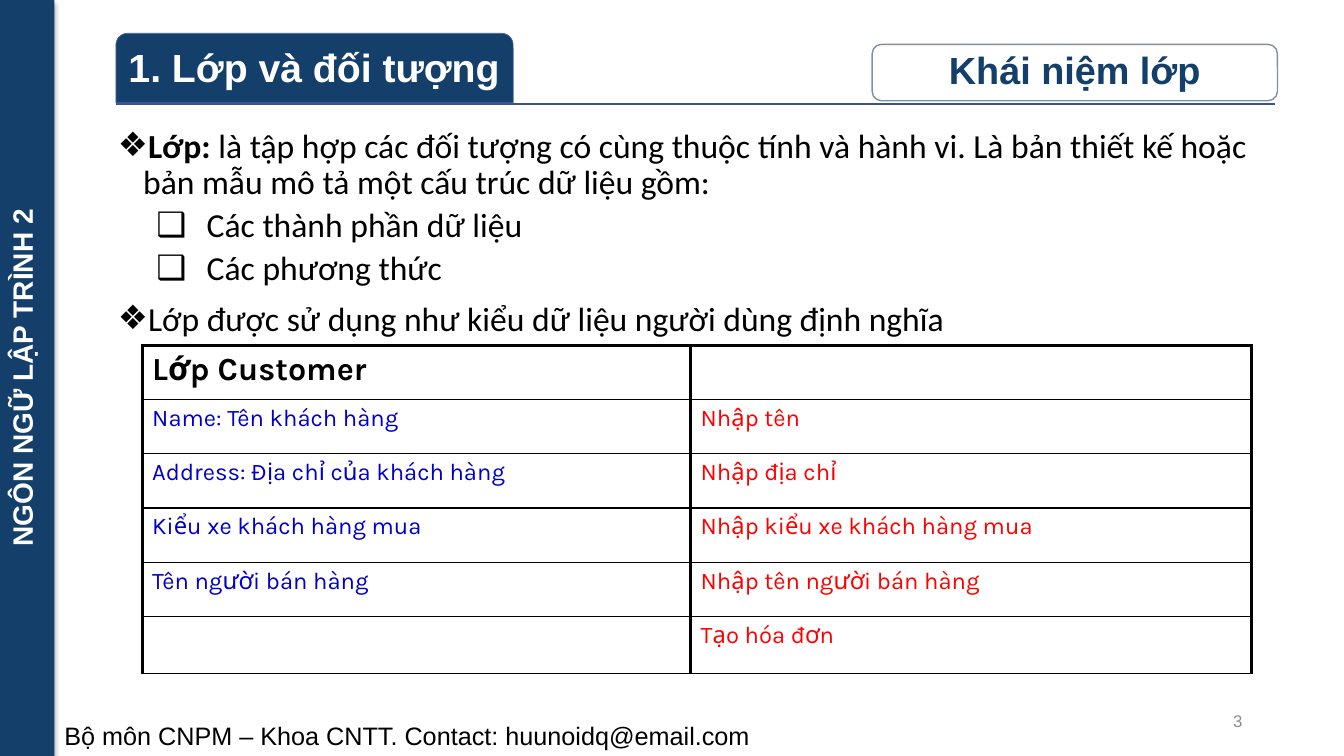
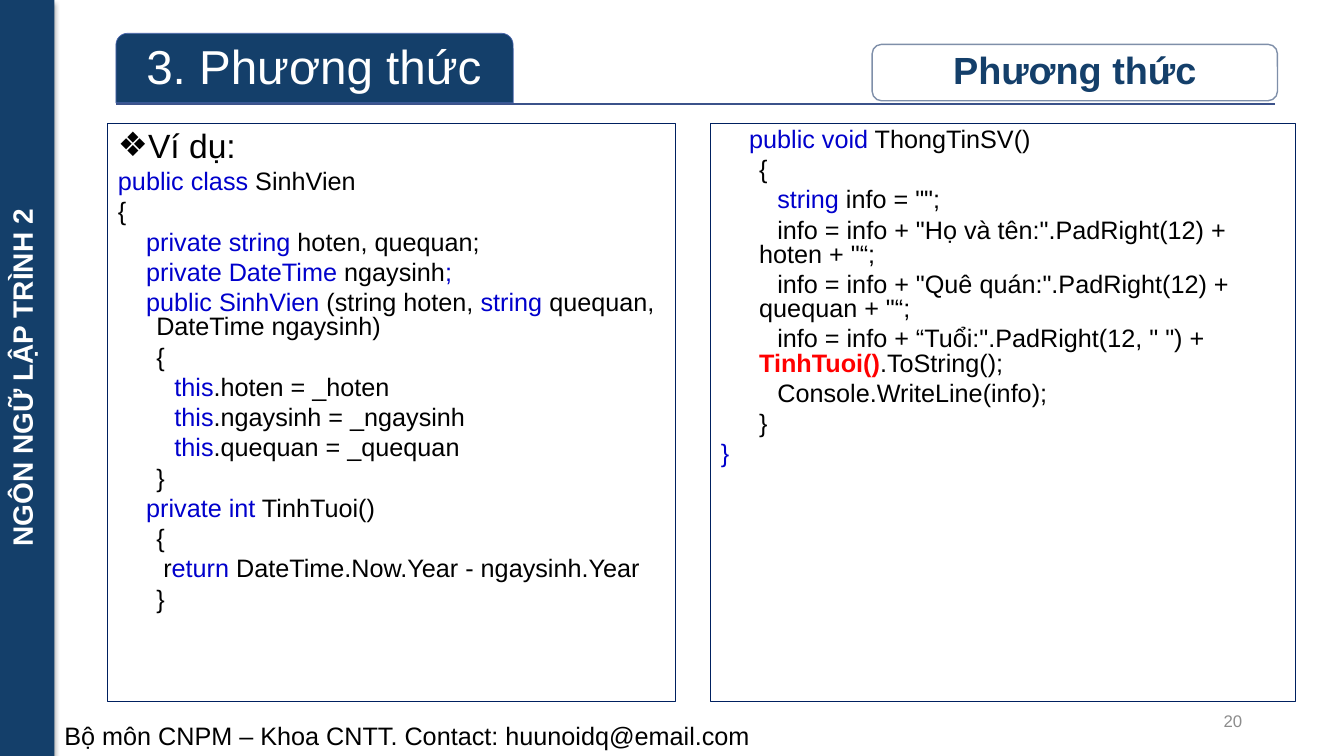
from dataclasses import dataclass

from lxml import etree
from pptx import Presentation
from pptx.dml.color import RGBColor
from pptx.enum.shapes import MSO_CONNECTOR, MSO_SHAPE
from pptx.enum.text import MSO_ANCHOR, MSO_AUTO_SIZE, PP_ALIGN
from pptx.oxml.ns import qn
from pptx.util import Inches, Pt

RECTANGLE, ROUNDED = MSO_SHAPE.RECTANGLE, MSO_SHAPE.ROUNDED_RECTANGLE
TAB_SHAPE = MSO_SHAPE.ROUND_2_SAME_RECTANGLE
TOP, MIDDLE = MSO_ANCHOR.TOP, MSO_ANCHOR.MIDDLE
CENTER, RIGHT = PP_ALIGN.CENTER, PP_ALIGN.RIGHT


@dataclass(frozen=True)
class Theme:
    navy: str = "143F6A"
    rule: str = "3B528A"
    tab_line: str = "4A66AC"
    pill_line: str = "7F8FA9"
    frame_line: str = "002060"
    white: str = "FFFFFF"
    black: str = "000000"
    gray: str = "8C8C8C"
    blue: str = "0000CC"
    red: str = "FF0000"
    sans: str = "Arial"
    body: str = "Calibri"
    table: str = "Karla"
    band_size: float = 20
    footer_size: float = 18
    number_size: float = 12
    topic_size: float = 27
    body_size: float = 24
    code_size: float = 18
    head_size: float = 23
    cell_size: float = 17


THEME = Theme()
BLUE, RED = THEME.blue, THEME.red


def write(para, spans, face, size, color=THEME.black, bold=False, align=None,
          line=None, before=None, left=None, first=0, bullet=None):
    """Fill a paragraph; a span is (text, color, bold), of which only text is needed.

    left is the indent of wrapped lines, first that of the first line, in inches.
    """
    if left is not None:
        props = para._p.get_or_add_pPr()
        props.set("marL", str(Inches(left)))
        props.set("indent", str(Inches(first - left)))
        if bullet:
            etree.SubElement(props, qn("a:buChar"), char=bullet)
        else:
            etree.SubElement(props, qn("a:buNone"))
    para.alignment = align
    para.line_spacing = line
    if before is not None:
        para.space_before = Pt(before)
    para.font.name, para.font.size, para.font.bold = face, Pt(size), bold
    para.font.color.rgb = RGBColor.from_string(color)
    for text, *look in spans:
        span = para.add_run()
        span.text = text
        if look:
            span.font.color.rgb = RGBColor.from_string(look[0])
            span.font.bold = len(look) > 1 and look[1]


def add_box(page, kind, place, fill, line=None, weight=1):
    box = page.shapes.add_shape(kind, *map(Inches, place))
    box.shadow.inherit = False
    box.fill.solid()
    box.fill.fore_color.rgb = RGBColor.from_string(fill)
    if line:
        box.line.color.rgb = RGBColor.from_string(line)
        box.line.width = Pt(weight)
    else:
        box.line.fill.background()
    return box


deck = Presentation()
deck.slide_width, deck.slide_height = Inches(13.33), Inches(7.5)

# Shared frame: side band, footer, section tab with rule, topic pill, page number
# layout, section title, title size, title bold, topic, page number
PAGES = [
    (1, "1. Lớp và đối tượng", 28, True, "Khái niệm lớp", "3"),
    (3, "3. Phương thức", 34, False, "Phương thức", "20"),
]
for layout, section, size, bold, topic, number in PAGES:
    page = deck.slides.add_slide(deck.slide_layouts[layout])

    band = add_box(page, RECTANGLE, (0, 0, 0.54, 7.5), THEME.navy)
    shadow = etree.SubElement(
        band._element.spPr.find(qn("a:effectLst")), qn("a:outerShdw"),
        blurRad=str(Pt(3.5)), dist=str(Pt(2.2)), dir="5400000", rotWithShape="0")
    shade = etree.SubElement(shadow, qn("a:srgbClr"), val=THEME.black)
    etree.SubElement(shade, qn("a:alpha"), val="32000")
    band.text_frame.vertical_anchor = TOP
    band.text_frame._txBody.bodyPr.set("vert", "vert270")
    write(band.text_frame.paragraphs[0], [("NGÔN NGỮ LẬP TRÌNH 2",)],
          THEME.sans, THEME.band_size, THEME.white, True, CENTER)

    rule = page.shapes.add_connector(
        MSO_CONNECTOR.STRAIGHT, Inches(1.15), Inches(1.03), Inches(12.65), Inches(1.03))
    rule.line.color.rgb = RGBColor.from_string(THEME.rule)
    rule.line.width = Pt(1)
    etree.SubElement(rule._element.spPr, qn("a:effectLst"))

    add_box(page, TAB_SHAPE, (1.15, 0.33, 3.94, 0.69), THEME.navy, THEME.tab_line, 0.5)
    title = page.shapes.title
    title.left, title.top = Inches(1.18), Inches(0.36)
    title.width, title.height = Inches(3.87), Inches(0.66)
    page.shapes._spTree.append(title._element)  # bring in front of the tab
    frame = title.text_frame
    frame.auto_size, frame.vertical_anchor = MSO_AUTO_SIZE.NONE, MIDDLE
    frame.margin_left = frame.margin_right = Inches(0.06)
    frame.margin_top = frame.margin_bottom = Inches(0.06)
    write(frame.paragraphs[0], [(section,)], THEME.sans, size, THEME.white, bold,
          CENTER, line=0.9)

    pill = add_box(page, ROUNDED, (8.65, 0.44, 4.02, 0.56), THEME.white, THEME.pill_line)
    write(pill.text_frame.paragraphs[0], [(topic,)], THEME.sans, THEME.topic_size,
          THEME.navy, True, CENTER, line=0.9)

    for place, text, size, color, align, anchor in [
        ((0.54, 7.1, 12.79, 0.4), "Bộ môn CNPM – Khoa CNTT. Contact: huunoidq@email.com",
         THEME.footer_size, THEME.black, None, TOP),
        ((9.42, 6.95, 3, 0.4), number, THEME.number_size, THEME.gray, RIGHT, MIDDLE),
    ]:
        note = page.shapes.add_textbox(*map(Inches, place))
        note.text_frame.word_wrap = True
        note.text_frame.vertical_anchor = anchor
        write(note.text_frame.paragraphs[0], [(text,)], THEME.sans, size, color, align=align)

class_page, method_page = deck.slides

# Class page: definition list and table
body = class_page.placeholders[1]
body.left, body.top, body.width, body.height = map(Inches, (1.07, 1.23, 11.75, 5.4))
body.text_frame.auto_size = MSO_AUTO_SIZE.NONE
POINTS = [
    (0, [("Lớp: ", THEME.black, True),
         ("là tập hợp các đối tượng có cùng thuộc tính và hành vi. Là bản thiết kế "
          "hoặc bản mẫu mô tả một cấu trúc dữ liệu gồm:",)]),
    (1, [("Các thành phần dữ liệu",)]),
    (1, [("Các phương thức",)]),
    (0, [("Lớp được sử dụng như kiểu dữ liệu người dùng định nghĩa",)]),
]
LEVELS = [
    {"left": 0.25, "first": 0, "before": 10, "bullet": "❖"},
    {"left": 0.88, "first": 0.38, "before": 5, "bullet": "❑"},
]
for index, (level, spans) in enumerate(POINTS):
    para = body.text_frame.add_paragraph() if index else body.text_frame.paragraphs[0]
    para.level = level
    write(para, spans, THEME.body, THEME.body_size, line=0.9, **LEVELS[level])

ROWS = [
    ("Lớp Customer", ""),
    ("Name: Tên khách hàng", "Nhập tên"),
    ("Address: Địa chỉ của khách hàng", "Nhập địa chỉ"),
    ("Kiểu xe khách hàng mua", "Nhập kiểu xe khách hàng mua"),
    ("Tên người bán hàng", "Nhập tên người bán hàng"),
    ("", "Tạo hóa đơn"),
]
table = class_page.shapes.add_table(
    len(ROWS), 2, Inches(1.41), Inches(3.43), Inches(11), Inches(3.25)).table
table.first_row = table.horz_banding = False
for column, width in zip(table.columns, (5.44, 5.56)):
    column.width = Inches(width)
for row, height in zip(table.rows, (0.53, 0.54, 0.54, 0.54, 0.54, 0.56)):
    row.height = Inches(height)
for r, texts in enumerate(ROWS):
    for c, text in enumerate(texts):
        cell = table.cell(r, c)
        cell_props = cell._tc.get_or_add_tcPr()
        top_weight = 1 if r else 2.25
        for side, weight in (("L", 2.25), ("R", 2.25), ("T", top_weight), ("B", 1)):
            edge = etree.SubElement(cell_props, qn(f"a:ln{side}"), w=str(Pt(weight)))
            paint = etree.SubElement(edge, qn("a:solidFill"))
            etree.SubElement(paint, qn("a:srgbClr"), val=THEME.black)
        cell.fill.background()
        if text:
            size = THEME.cell_size if r else THEME.head_size
            color = (BLUE, RED)[c] if r else THEME.black
            write(cell.text_frame.paragraphs[0], [(text,)], THEME.table, size, color,
                  bold=r == 0)

# Method page: two framed code columns; each line is first-line indent and spans
HANG, MEMBER, STATEMENT = 0.38, 0.28, 0.56
LEFT_CODE = [
    (0, [("public class", BLUE), (" SinhVien",)]),
    (0, [("{",)]),
    (MEMBER, [("private string", BLUE), (" hoten, quequan;",)]),
    (MEMBER, [("private DateTime", BLUE), (" ngaysinh",), (";", BLUE)]),
    (MEMBER, [("public SinhVien ", BLUE), ("(string hoten, ",), ("string ", BLUE),
              ("quequan, DateTime ngaysinh)",)]),
    (HANG, [("{",)]),
    *[(STATEMENT, [("this", BLUE), (f".{field} = _{field}",)])
      for field in ("hoten", "ngaysinh", "quequan")],
    (HANG, [("}",)]),
    (MEMBER, [("private int", BLUE), (" TinhTuoi()",)]),
    (HANG, [("{",)]),
    (0.45, [("r",), ("eturn", BLUE), (" DateTime.Now.Year - ngaysinh.Year",)]),
    (HANG, [("}",)]),
]
RIGHT_CODE = [
    (MEMBER, [("public void", BLUE), (" ThongTinSV()",)]),
    (HANG, [("{",)]),
    (STATEMENT, [("string", BLUE), (' info = "";',)]),
    (STATEMENT, [('info = info + "Họ và tên:".PadRight(12) + hoten + "“;',)]),
    (STATEMENT, [('info = info + "Quê quán:".PadRight(12) + quequan + "“;',)]),
    (STATEMENT, [('info = info + “Tuổi:".PadRight(12, " ") + ',),
                 ("TinhTuoi()", RED, True), (".ToString();",)]),
    (STATEMENT, [("Console.WriteLine(info);",)]),
    (HANG, [("}",)]),
    (0, [("}", BLUE)]),
]
for slot, left, width, heading, code in [
    (1, 1.07, 5.63, "Ví dụ:", LEFT_CODE),
    (2, 7.05, 5.8, None, RIGHT_CODE),
]:
    panel = method_page.placeholders[slot]
    panel.left, panel.top = Inches(left), Inches(1.23)
    panel.width, panel.height = Inches(width), Inches(5.73)
    panel.line.color.rgb = RGBColor.from_string(THEME.frame_line)
    panel.line.width = Pt(0.75)
    frame = panel.text_frame
    frame.auto_size = MSO_AUTO_SIZE.NONE
    para = frame.paragraphs[0]
    if heading:
        write(para, [(heading,)], THEME.sans, THEME.body_size, line=0.9, **LEVELS[0])
        para = frame.add_paragraph()
    for index, (first, spans) in enumerate(code):
        if index:
            para = frame.add_paragraph()
        write(para, spans, THEME.sans, THEME.code_size, line=0.8, before=4.3,
              left=HANG, first=first)

deck.save("out.pptx")
